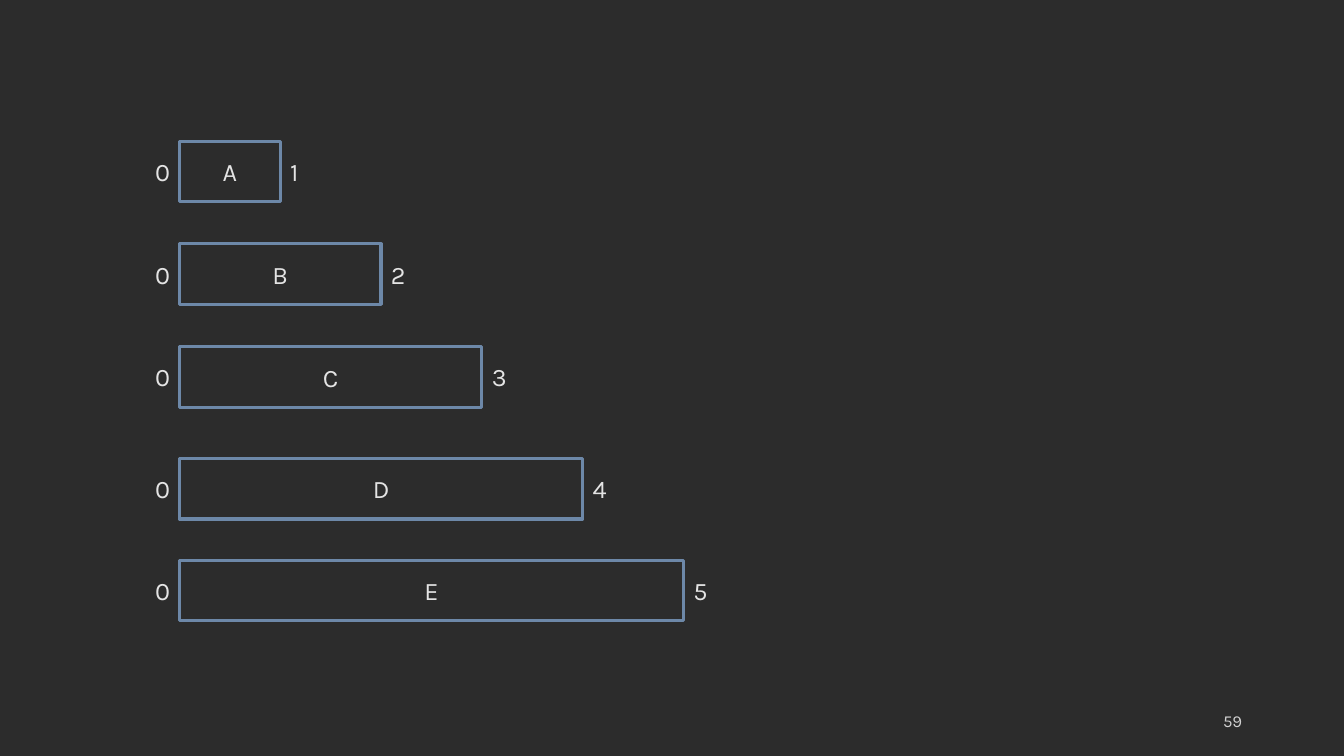
"""Slide with five bars, A to E, that start at 0 and grow by one unit each."""
from lxml.etree import SubElement
from pptx import Presentation
from pptx.dml.color import RGBColor
from pptx.enum.shapes import MSO_SHAPE
from pptx.enum.text import MSO_ANCHOR, MSO_AUTO_SIZE, PP_ALIGN
from pptx.oxml.ns import qn
from pptx.util import Pt

PX = 9144
COLORS = {"background": "2C2C2C", "outline": "6D88A8", "text": "E4E4E4", "number": "D1D1D1"}
UNIT, BAR_LEFT, BAR_HEIGHT = 100, 178, 60
LABEL_WIDTH, LABEL_HEIGHT = 34, 40
BAR_TOPS = {"A": 140, "B": 242, "C": 344, "D": 455, "E": 556}


def color(name):
    return RGBColor.from_string(COLORS[name])


def write(shape, text, size=18, ink="text", align=PP_ALIGN.LEFT, anchor=MSO_ANCHOR.TOP, wrap=True):
    frame = shape.text_frame
    frame.word_wrap = wrap
    frame.auto_size = MSO_AUTO_SIZE.NONE if wrap else MSO_AUTO_SIZE.SHAPE_TO_FIT_TEXT
    frame.vertical_anchor = anchor
    paragraph = frame.paragraphs[0]
    paragraph.alignment = align
    run = paragraph.add_run()
    run.text = text
    run.font.name = "Karla"
    run.font.size = Pt(size)
    run.font.color.rgb = color(ink)


deck = Presentation()
deck.slide_width, deck.slide_height = 1333 * PX, 750 * PX
slide = deck.slides.add_slide(deck.slide_layouts[6])
slide.background.fill.solid()
slide.background.fill.fore_color.rgb = color("background")

slide_number = slide.shapes.add_textbox(942 * PX, 695 * PX, 300 * PX, 40 * PX)
write(slide_number, "59", size=12, ink="number", align=PP_ALIGN.RIGHT, anchor=MSO_ANCHOR.MIDDLE)

for length, (letter, top) in enumerate(BAR_TOPS.items(), start=1):
    row = slide.shapes.add_group_shape().shapes
    width = length * UNIT
    bar = row.add_shape(MSO_SHAPE.RECTANGLE, BAR_LEFT * PX, top * PX, width * PX, BAR_HEIGHT * PX)
    bar.shadow.inherit = False
    bar.fill.solid()
    bar.fill.fore_color.rgb = color("background")
    bar.line.color.rgb = color("outline")
    bar.line.width = Pt(2.25)
    SubElement(bar.element.spPr.find(qn("a:ln")), qn("a:round"))
    write(bar, letter, align=PP_ALIGN.CENTER, anchor=MSO_ANCHOR.MIDDLE)

    label_top = top + (BAR_HEIGHT - LABEL_HEIGHT) // 2
    for value, left in ((0, BAR_LEFT - LABEL_WIDTH), (length, BAR_LEFT + width)):
        label = row.add_textbox(left * PX, label_top * PX, LABEL_WIDTH * PX, LABEL_HEIGHT * PX)
        write(label, str(value), wrap=False)

deck.save("out.pptx")
